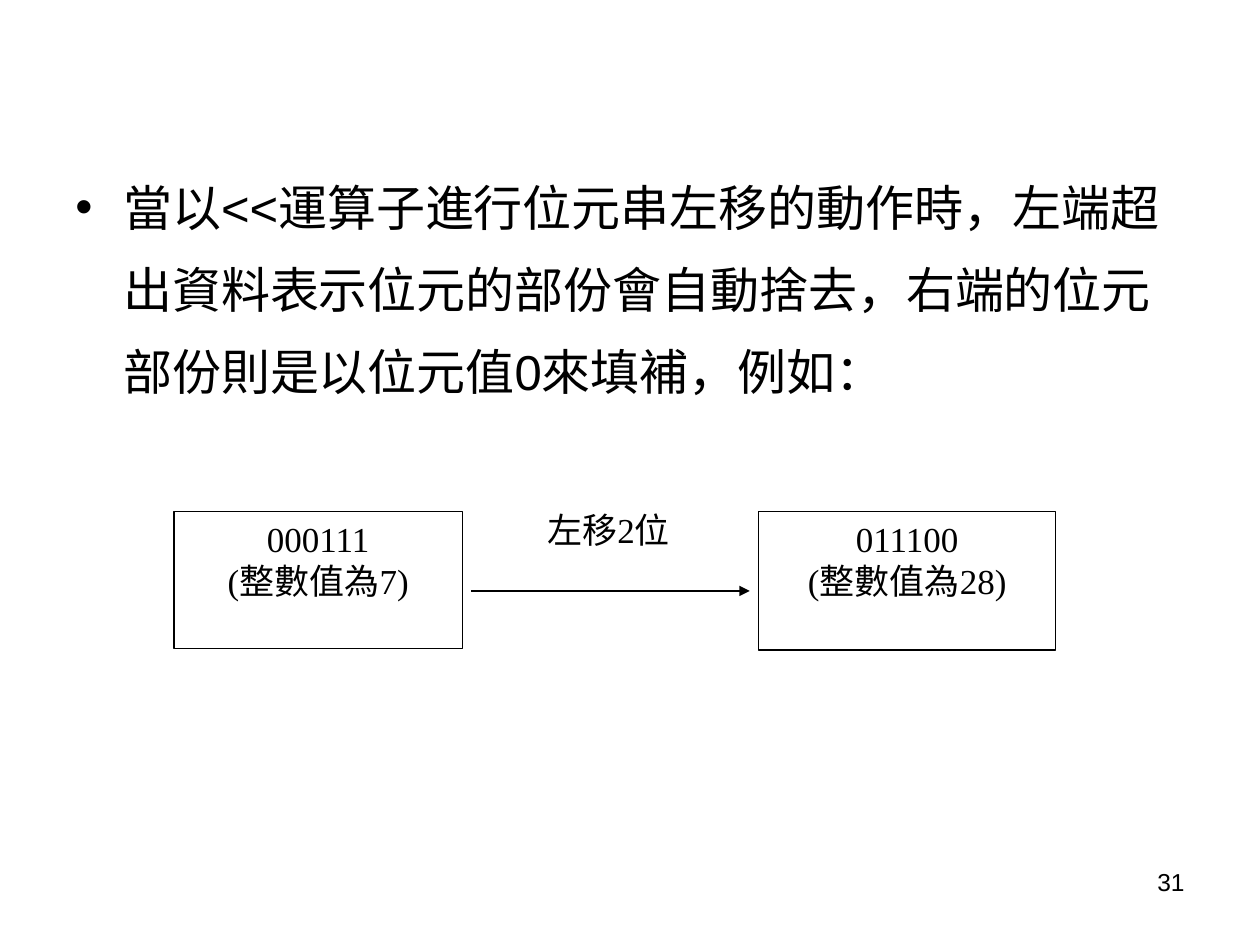
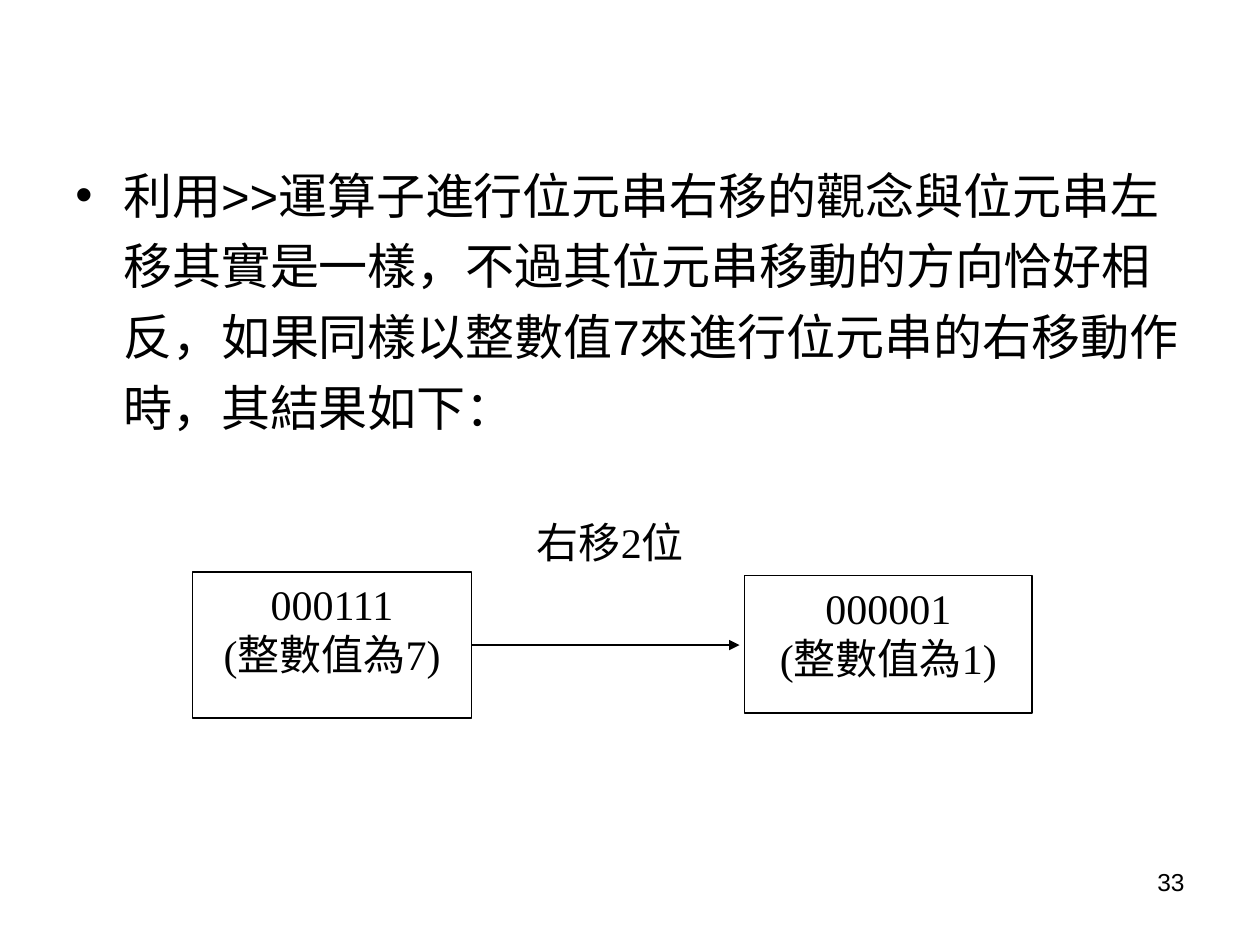
from lxml import etree
from pptx import Presentation
from pptx import util as u
from pptx.dml.color import RGBColor
from pptx.enum import shapes, text
from pptx.oxml.ns import qn

BLACK = "000000"
WHITE = "FFFFFF"
BODY_FONT = "Arial"
DIAGRAM_FONT = "Times New Roman"
LINE_WIDTH = u.Pt(0.75)


def color(value):
    """Turn a hex string into a colour."""
    return RGBColor.from_string(value)


def inches(*lengths):
    """Turn plain numbers into lengths in inches."""
    return [u.Inches(length) for length in lengths]


def write(frame, content, size, font=BODY_FONT, align=text.PP_ALIGN.LEFT,
          spacing=1.0, bullet=False):
    """Fill a text frame, one paragraph for each line of the content."""
    frame.word_wrap = True
    frame.vertical_anchor = text.MSO_ANCHOR.TOP
    for index, line in enumerate(content.split("\n")):
        para = frame.add_paragraph() if index else frame.paragraphs[0]
        if bullet:
            add_bullet(para)
        para.alignment = align
        para.line_spacing = spacing
        span = para.add_run()
        span.text = line
        span.font.size = u.Pt(size)
        span.font.name = font
        span.font.color.rgb = color(BLACK)


def add_bullet(para):
    """Give a paragraph a round bullet and a hanging indent."""
    props = para._p.get_or_add_pPr()
    indent = u.Inches(0.38)
    props.set("marL", str(indent))
    props.set("indent", str(-indent))
    etree.SubElement(props, qn("a:buFont"), typeface=BODY_FONT)
    etree.SubElement(props, qn("a:buChar"), char="•")


def add_text(page, place, content, size, **style):
    """Add a text box."""
    box = page.shapes.add_textbox(*inches(*place))
    write(box.text_frame, content, size, **style)


def add_value_box(page, place, content, size):
    """Add an outlined box with a bit string and its integer value."""
    box = page.shapes.add_shape(shapes.MSO_SHAPE.RECTANGLE, *inches(*place))
    box.shadow.inherit = False
    box.fill.solid()
    box.fill.fore_color.rgb = color(WHITE)
    box.line.color.rgb = color(BLACK)
    box.line.width = LINE_WIDTH
    write(box.text_frame, content, size, font=DIAGRAM_FONT,
          align=text.PP_ALIGN.CENTER)
    return box


def add_arrow(page, left, right, y):
    """Add a level arrow pointing right."""
    arrow = page.shapes.add_connector(
        shapes.MSO_CONNECTOR.STRAIGHT, *inches(left, y, right, y))
    arrow.line.color.rgb = color(BLACK)
    arrow.line.width = LINE_WIDTH
    etree.SubElement(arrow.line._get_or_add_ln(), qn("a:tailEnd"), type="triangle")
    etree.SubElement(arrow._element.spPr, qn("a:effectLst"))
    return arrow


def add_page(deck, number, explanation, spacing):
    """Add a page with its explanation and page number."""
    page = deck.slides.add_slide(deck.slide_layouts[6])
    add_text(page, (0.5, 1.17, 9, 5.5), explanation, 28,
             spacing=spacing, bullet=True)
    add_text(page, (7.17, 6.83, 2.33, 0.52), str(number), 14,
             align=text.PP_ALIGN.RIGHT)
    return page


def add_label(page, place, content, size):
    """Add the centred label above an arrow."""
    add_text(page, place, content, size, font=DIAGRAM_FONT,
             align=text.PP_ALIGN.CENTER)


def add_left_shift(deck):
    """Build the page on shifting left."""
    page = add_page(
        deck, 31,
        "當以<<運算子進行位元串左移的動作時，左端超出資料表示位元的部份會自動捨去，"
        "右端的位元部份則是以位元值0來填補，例如：", 1.4)
    add_value_box(page, (1.38, 4.06, 2.29, 1.09), "000111\n(整數值為7)", 20)
    add_arrow(page, 3.74, 5.95, 4.69)
    add_value_box(page, (6.02, 4.06, 2.36, 1.1), "011100\n(整數值為28)", 20)
    add_label(page, (4.21, 3.99, 1.24, 0.41), "左移2位", 20)


def add_right_shift(deck):
    """Build the page on shifting right."""
    page = add_page(
        deck, 33,
        "利用>>運算子進行位元串右移的觀念與位元串左移其實是一樣，"
        "不過其位元串移動的方向恰好相反，如果同樣以整數值7來進行位元串的右移動作時，"
        "其結果如下：", 1.2)
    before = add_value_box(page, (1.53, 4.54, 2.21, 1.16), "000111\n(整數值為7)", 24)
    add_value_box(page, (5.91, 4.57, 2.28, 1.09), "000001\n(整數值為1)", 24)
    add_label(page, (3.98, 4.05, 1.73, 0.65), "右移2位", 24)
    arrow = add_arrow(page, 3.74, 5.87, 5.12)
    arrow.begin_connect(before, 3)


def main():
    """Build and save the deck."""
    deck = Presentation()
    deck.slide_width, deck.slide_height = inches(10, 7.5)
    add_left_shift(deck)
    add_right_shift(deck)
    deck.save("out.pptx")


if __name__ == "__main__":
    main()
